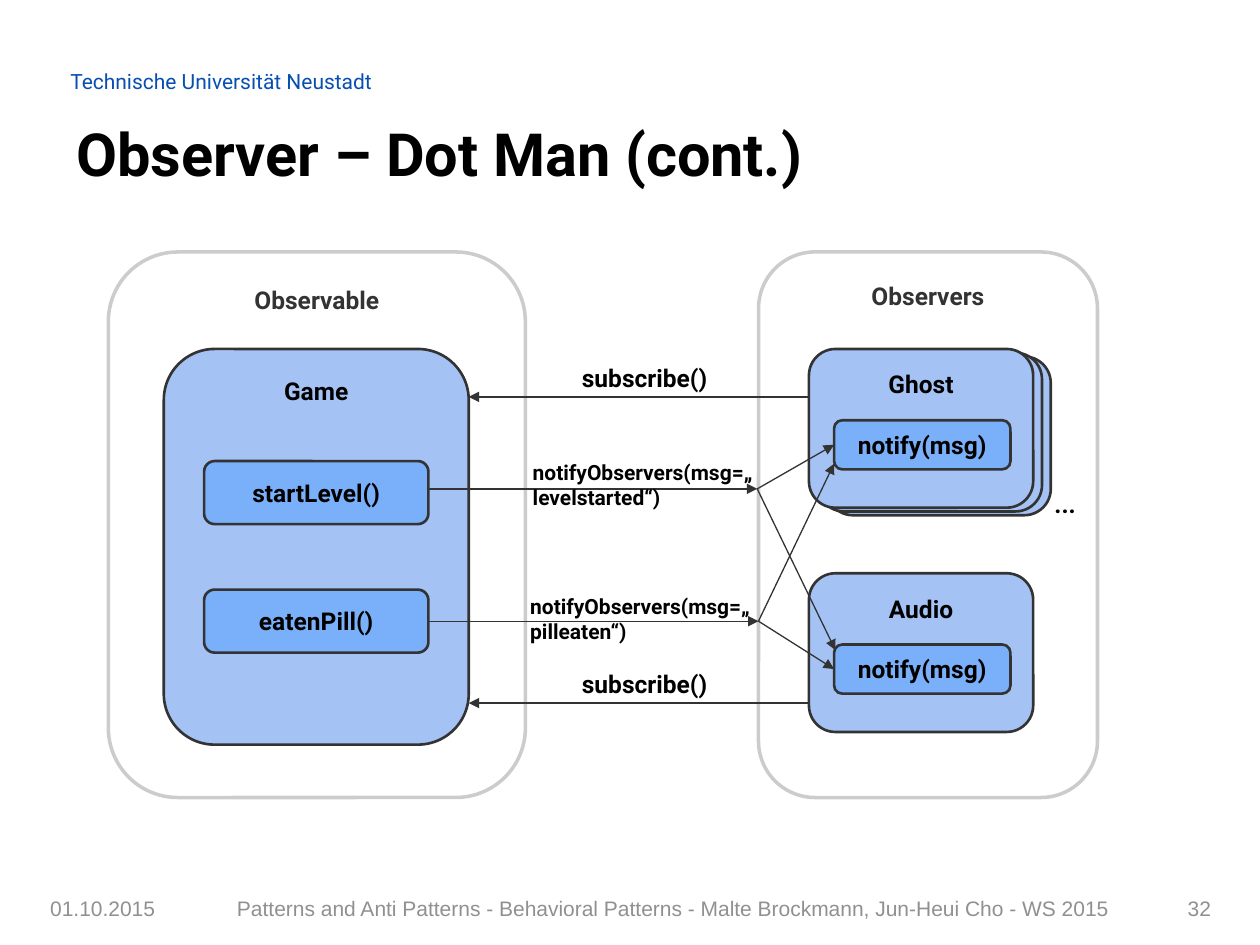
from lxml.etree import SubElement
from pptx import Presentation
from pptx.dml.color import RGBColor
from pptx.enum.shapes import MSO_CONNECTOR, MSO_SHAPE
from pptx.enum.text import MSO_ANCHOR, MSO_AUTO_SIZE, PP_ALIGN
from pptx.oxml.ns import qn
from pptx.util import Inches, Pt

WHITE = RGBColor(0xFF, 0xFF, 0xFF)
BLACK = RGBColor(0x00, 0x00, 0x00)
DARK = RGBColor(0x33, 0x33, 0x33)
PALE_GRAY = RGBColor(0xCC, 0xCC, 0xCC)
FOOTER_GRAY = RGBColor(0x90, 0x90, 0x90)
HEADER_BLUE = RGBColor(0x07, 0x4F, 0xB0)
CLASS_BLUE = RGBColor(0xA4, 0xC2, 0xF4)
METHOD_BLUE = RGBColor(0x7A, 0xB0, 0xFA)

COLUMNS, ROWS = 100, 75


def write(frame, text, size=14, font="Roboto", color=BLACK, bold=True,
          align=PP_ALIGN.LEFT, anchor=MSO_ANCHOR.TOP, inset=0.05):
    """Put one formatted paragraph into a text frame."""
    frame.word_wrap = True
    frame.vertical_anchor = anchor
    frame.margin_left = frame.margin_right = Inches(0.1)
    frame.margin_top = frame.margin_bottom = Inches(inset)
    paragraph = frame.paragraphs[0]
    paragraph.alignment = align
    run = paragraph.add_run()
    run.text = text
    run.font.size = Pt(size)
    run.font.name = font
    run.font.bold = bold
    run.font.color.rgb = color


class Diagram:
    """Draws on one slide; lengths are grid columns and rows."""

    def __init__(self, presentation):
        self.slide = presentation.slides.add_slide(presentation.slide_layouts[6])
        self.shapes = self.slide.shapes
        self.column = presentation.slide_width / COLUMNS
        self.row = presentation.slide_height / ROWS

    def place(self, x, y):
        return round(x * self.column), round(y * self.row)

    def label(self, text, x, y, width, height, grow=False, **style):
        box = self.shapes.add_textbox(*self.place(x, y), *self.place(width, height))
        write(box.text_frame, text, **style)
        if grow:
            box.text_frame.auto_size = MSO_AUTO_SIZE.SHAPE_TO_FIT_TEXT

    def box(self, text, x, y, width, height, fill, line=DARK, weight=1.5, **style):
        shape = self.shapes.add_shape(MSO_SHAPE.ROUNDED_RECTANGLE,
                                      *self.place(x, y), *self.place(width, height))
        shape.shadow.inherit = False
        shape.fill.solid()
        shape.fill.fore_color.rgb = fill
        shape.line.color.rgb = line
        shape.line.width = Pt(weight)
        if text:
            write(shape.text_frame, text, align=PP_ALIGN.CENTER, inset=0.1, **style)
        return shape

    def group(self, text, x, width):
        return self.box(text, x, 20, width, 43.3, WHITE, PALE_GRAY, 2, color=DARK)

    def participant(self, text, x, y, width=17.8, height=12.6):
        return self.box(text, x, y, width, height, CLASS_BLUE)

    def method(self, text, x, y, width, height):
        return self.box(text, x, y, width, height, METHOD_BLUE, anchor=MSO_ANCHOR.MIDDLE)

    def arrow(self, start, end, source=None, target=None):
        """Source leaves from its right side, target is met on its left side."""
        line = self.shapes.add_connector(MSO_CONNECTOR.STRAIGHT,
                                         *self.place(*start), *self.place(*end))
        if source:
            line.begin_connect(source, 3)
        if target:
            line.end_connect(target, 1)
        line.line.color.rgb = DARK
        line.line.width = Pt(0.75)
        properties = line._element.spPr
        SubElement(properties.find(qn("a:ln")), qn("a:tailEnd"), type="triangle")
        SubElement(properties, qn("a:effectLst"))


def main():
    presentation = Presentation()
    presentation.slide_width, presentation.slide_height = Inches(10), Inches(7.5)
    diagram = Diagram(presentation)

    # Header and title
    diagram.label("Technische Universität Neustadt", 4.6, 4.9, 30, 3, size=12,
                  color=HEADER_BLUE, bold=False, anchor=MSO_ANCHOR.BOTTOM)
    diagram.label("Observer – Dot Man (cont.)", 5.1, 8.3, 91.3, 7.9, size=34, inset=0.1)

    # Footer
    for text, x, width, align in (
        ("01.10.2015", 3, 11.2, PP_ALIGN.LEFT),
        ("Patterns and Anti Patterns - Behavioral Patterns - Malte Brockmann, "
         "Jun-Heui Cho - WS 2015", 16.2, 74.5, PP_ALIGN.CENTER),
        ("32", 92.8, 4.3, PP_ALIGN.RIGHT),
    ):
        diagram.label(text, x, 70.1, width, 4, size=12, font="Arial", bold=False,
                      color=FOOTER_GRAY, align=align, anchor=MSO_ANCHOR.MIDDLE)

    # Groups and participants, with a stack of ghosts
    diagram.group("Observable", 8.6, 33.1)
    diagram.group("Observers", 60.2, 26.9)
    diagram.participant("Game", 13, 27.7, 24.2, 31.4)
    observer_x, ghost_y, audio_y = 64.2, 27.7, 45.5
    for depth in (2, 1):
        diagram.participant("", observer_x + 0.7 * depth, ghost_y + 0.3 * depth)
    diagram.participant("Ghost", observer_x, ghost_y)
    diagram.participant("Audio", observer_x, audio_y)
    diagram.label("...", 82.7, 38.3, 5.2, 3.4, grow=True)

    # Methods
    diagram.method("startLevel()", 16.2, 36.6, 17.8, 5)
    eaten_pill = diagram.method("eatenPill()", 16.2, 46.8, 17.8, 5)
    ghost_notify, audio_notify = (
        diagram.method("notify(msg)", 66.2, y + 5.65, 14, 3.9)
        for y in (ghost_y, audio_y))

    # Subscriptions
    for y in (31.5, 55.8):
        diagram.arrow((observer_x, y), (37.2, y))
        diagram.label("subscribe()", 45.2, y - 3.2, 12.7, 3.4, grow=True)

    # Notifications, each fanning out to both observers
    level_hub, pill_hub = (60.1, 38.8), (60.2, 49.3)
    diagram.arrow((34, 38.8), level_hub)
    diagram.arrow(level_hub, (66.2, 35.3), target=ghost_notify)
    diagram.arrow(level_hub, (66.3, 51.6))
    diagram.arrow((34, 49.3), pill_hub, source=eaten_pill)
    diagram.arrow(pill_hub, (66.2, 36.8))
    diagram.arrow(pill_hub, (66.2, 53.1), target=audio_notify)
    for message, x, y in (("levelstarted", 41.3, 36), ("pilleaten", 41.1, 46.6)):
        diagram.label(f"notifyObservers(msg=„{message}“)", x, y, 19.7, 5,
                      grow=True, size=12)

    presentation.save("out.pptx")


if __name__ == "__main__":
    main()
